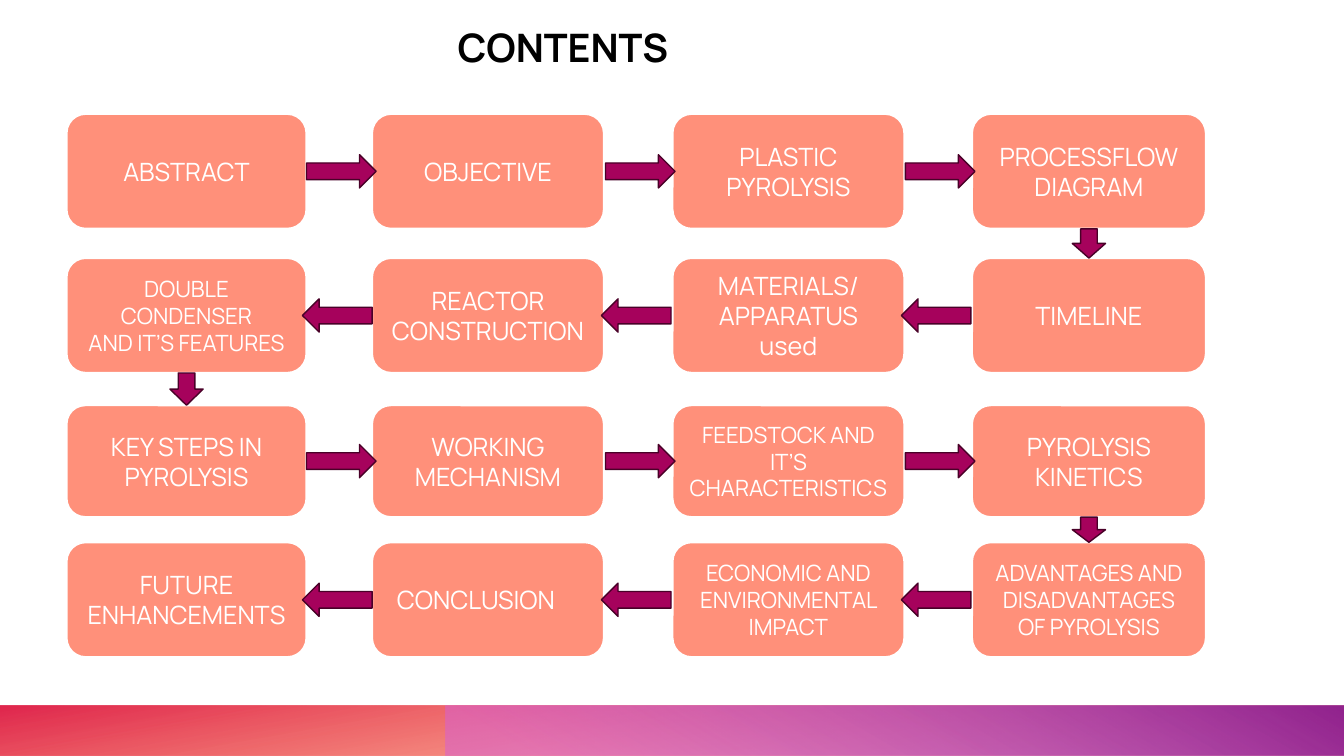
from lxml import etree
from pptx import Presentation
from pptx.dml.color import RGBColor
from pptx.enum.shapes import MSO_SHAPE
from pptx.enum.text import MSO_ANCHOR, PP_ALIGN
from pptx.oxml.ns import qn
from pptx.util import Inches, Pt

WHITE = RGBColor(0xFF, 0xFF, 0xFF)
BLACK = RGBColor(0x00, 0x00, 0x00)
CORAL = RGBColor(0xFF, 0x90, 0x7A)
BERRY = RGBColor(0xA6, 0x02, 0x5C)
DARK_BERRY = RGBColor(0x49, 0x01, 0x28)
ORANGE = RGBColor(0xFE, 0x4A, 0x00)
RED = RGBColor(0xDA, 0x00, 0x2F)
ORCHID = RGBColor(0xD8, 0x61, 0xD4)
PURPLE = RGBColor(0x92, 0x24, 0x8E)

FONT = "Manrope"
SLIDE_WIDTH, SLIDE_HEIGHT = 13.33, 7.5
BAND_TOP, BAND_HEIGHT = 7, 0.5
COLUMNS = ((0.66, 2.38), (3.69, 2.3), (6.67, 2.3), (9.64, 2.32))
ROWS = ((1.13, 1.14), (2.56, 1.14), (4.02, 1.11), (5.38, 1.14))
ARROW_LENGTH, ARROW_THICKNESS, ARROW_LEAN = 0.69, 0.33, 0.02
TOPICS = (
    (("ABSTRACT", 18), ("OBJECTIVE", 18), ("PLASTIC PYROLYSIS", 18),
     ("PROCESSFLOW DIAGRAM", 18)),
    (("DOUBLE CONDENSER\nAND IT’S FEATURES", 16), ("REACTOR CONSTRUCTION", 18),
     ("MATERIALS/APPARATUS used", 18), ("TIMELINE", 18)),
    (("KEY STEPS IN PYROLYSIS", 18), ("WORKING MECHANISM", 18),
     ("FEEDSTOCK AND IT’S CHARACTERISTICS", 16), ("PYROLYSIS KINETICS", 18)),
    (("FUTURE ENHANCEMENTS", 18), ("CONCLUSION", 18),
     ("ECONOMIC AND ENVIRONMENTAL IMPACT", 16),
     ("ADVANTAGES AND DISADVANTAGES OF PYROLYSIS", 16)),
)


def add_flat_shape(slide, preset, left, top, width, height):
    """Add a preset shape without a shadow."""
    shape = slide.shapes.add_shape(
        preset, Inches(left), Inches(top), Inches(width), Inches(height))
    shape.shadow.inherit = False
    return shape


def add_band(slide, left, width, stops, angle, rotation=0):
    """Add a mirrored gradient band along the slide's foot."""
    band = add_flat_shape(slide, MSO_SHAPE.RECTANGLE, left, BAND_TOP, width, BAND_HEIGHT)
    band.rotation = rotation
    band.element.spPr.find(qn("a:xfrm")).set("flipH", "1")
    band.line.fill.background()
    band.fill.gradient()
    band.fill.gradient_angle = 360 - angle
    for stop, (position, color, _) in zip(band.fill.gradient_stops, stops):
        stop.position = position
        stop.color.rgb = color
    colors = band.element.spPr.iter(qn("a:srgbClr"))
    for color, (_, _, opacity) in zip(list(colors), stops):
        etree.SubElement(color, qn("a:alpha")).set("val", str(opacity * 1000))


def add_title(slide, left, top, width, height):
    """Add the slide heading."""
    title = slide.shapes.add_textbox(
        Inches(left), Inches(top), Inches(width), Inches(height))
    title.text_frame.word_wrap = True
    heading = title.text_frame.paragraphs[0]
    heading.text = "CONTENTS"
    heading.font.name = FONT
    heading.font.size = Pt(28)
    heading.font.bold = True
    heading.font.color.rgb = BLACK


def add_topic(slide, column, row, text, size):
    """Add one rounded topic box in its grid cell."""
    (left, width), (top, height) = column, row
    topic = add_flat_shape(slide, MSO_SHAPE.ROUNDED_RECTANGLE, left, top, width, height)
    topic.fill.solid()
    topic.fill.fore_color.rgb = CORAL
    topic.line.color.rgb = WHITE
    topic.line.width = Pt(1.5)
    frame = topic.text_frame
    frame.word_wrap = True
    frame.vertical_anchor = MSO_ANCHOR.MIDDLE
    frame.text = text
    indented = text == "CONCLUSION"
    if indented:
        frame.margin_left = Inches(0.19)
    for paragraph in frame.paragraphs:
        paragraph.alignment = PP_ALIGN.LEFT if indented else PP_ALIGN.CENTER
        paragraph.font.name = FONT
        paragraph.font.size = Pt(size)
        paragraph.font.color.rgb = WHITE


def add_arrow(slide, center_x, center_y, length, rotation):
    """Add a block arrow around a centre point."""
    arrow = add_flat_shape(
        slide, MSO_SHAPE.RIGHT_ARROW, center_x - length / 2,
        center_y - ARROW_THICKNESS / 2, length, ARROW_THICKNESS)
    arrow.rotation = rotation
    arrow.fill.solid()
    arrow.fill.fore_color.rgb = BERRY
    arrow.line.color.rgb = DARK_BERRY
    arrow.line.width = Pt(1)


def add_flow(slide):
    """Add the topic grid and the arrows that wind through it."""
    for row, topics in zip(ROWS, TOPICS):
        for column, (text, size) in zip(COLUMNS, topics):
            add_topic(slide, column, row, text, size)
    for index, (top, height) in enumerate(ROWS):
        backwards = index % 2
        lean = -ARROW_LEAN if backwards else ARROW_LEAN
        for (left, width), (next_left, _) in zip(COLUMNS, COLUMNS[1:]):
            add_arrow(slide, (left + width + next_left) / 2 + lean,
                      top + height / 2, ARROW_LENGTH, 180 * backwards)
    for index, ((top, height), (next_top, _)) in enumerate(zip(ROWS, ROWS[1:])):
        left, width = COLUMNS[0 if index % 2 else -1]
        bottom = top + height
        add_arrow(slide, left + width / 2, (bottom + next_top) / 2,
                  next_top - bottom, 90)


def main():
    """Build and save the contents slide."""
    presentation = Presentation()
    presentation.slide_width = Inches(SLIDE_WIDTH)
    presentation.slide_height = Inches(SLIDE_HEIGHT)
    slide = presentation.slides.add_slide(presentation.slide_layouts[6])
    add_band(slide, 0, SLIDE_WIDTH, ((0.14, ORANGE, 28), (1, RED, 85)), 100, 180)
    add_band(slide, 4.42, SLIDE_WIDTH - 4.42,
             ((0.09, ORCHID, 55), (0.99, PURPLE, 100)), 240)
    add_flow(slide)
    add_title(slide, 4.44, 0.18, 7, 0.57)
    presentation.save("out.pptx")


if __name__ == "__main__":
    main()
